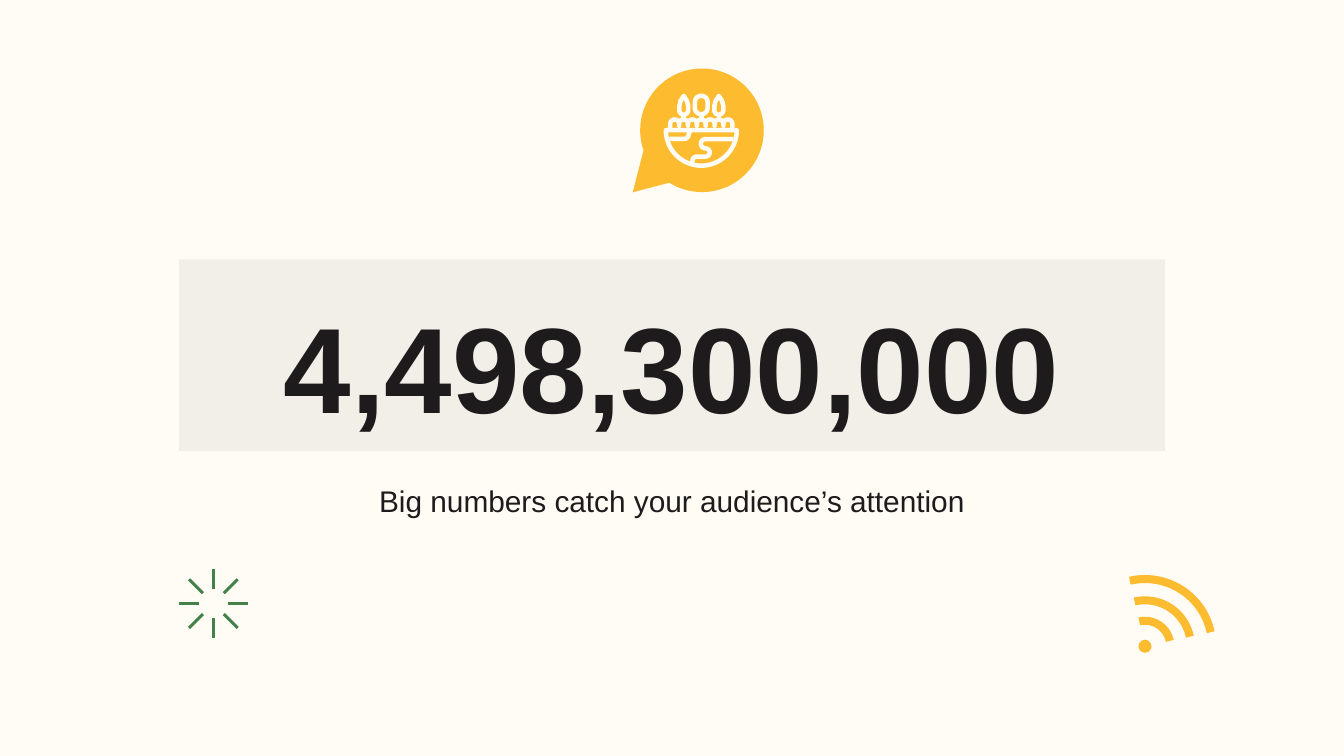
"""Build a big-number slide with a speech bubble, a burst and a signal icon."""
from math import cos, radians, sin

from lxml.etree import SubElement
from pptx import Presentation
from pptx.dml.color import RGBColor
from pptx.enum.shapes import MSO_CONNECTOR, MSO_SHAPE
from pptx.enum.text import MSO_ANCHOR, MSO_AUTO_SIZE, PP_ALIGN
from pptx.oxml.ns import qn
from pptx.util import Pt

COLORS = {
    "cream": "FFFCF6",
    "panel": "F2EFE8",
    "ink": "1D1B1C",
    "green": "44804A",
    "yellow": "FDBC2F",
}
FONT = "Arial"
PANEL_LEFT, PANEL_WIDTH = 95.8, 528.4


def color(name):
    return RGBColor.from_string(COLORS[name])


def paint(fill, name):
    fill.solid()
    fill.fore_color.rgb = color(name)


def place(box, left, top, width, height):
    box.left, box.top = Pt(left), Pt(top)
    box.width, box.height = Pt(width), Pt(height)


def write_text(box, text, size, bold=False, anchor=MSO_ANCHOR.TOP):
    frame = box.text_frame
    frame.word_wrap = True
    frame.auto_size = MSO_AUTO_SIZE.NONE
    frame.vertical_anchor = anchor
    frame.margin_left = frame.margin_right = Pt(7.2)
    frame.margin_top = frame.margin_bottom = Pt(7.2)
    para = frame.paragraphs[0]
    para.alignment = PP_ALIGN.CENTER
    span = para.add_run()
    span.text = text
    span.font.name = FONT
    span.font.size = Pt(size)
    span.font.bold = bold
    span.font.color.rgb = color("ink")


def arc(center_x, center_y, radius, start, end, steps=24):
    """Return points on an arc; angles run clockwise from the right."""
    angles = [radians(start + (end - start) * i / steps) for i in range(steps + 1)]
    return [(center_x + radius * cos(a), center_y + radius * sin(a)) for a in angles]


def add_outline(page, points, fill=None, line=None, width=0, closed=True):
    corners = [(Pt(x), Pt(y)) for x, y in points]
    builder = page.shapes.build_freeform(*corners[0], scale=1.0)
    builder.add_line_segments(corners[1:], close=closed)
    shape = builder.convert_to_shape()
    shape.shadow.inherit = False
    if fill:
        paint(shape.fill, fill)
    else:
        shape.fill.background()
    if line:
        paint(shape.line.fill, line)
        shape.line.width = Pt(width)
    else:
        shape.line.fill.background()


def add_line(page, start, end, name, width):
    ends = [Pt(value) for value in (*start, *end)]
    line = page.shapes.add_connector(MSO_CONNECTOR.STRAIGHT, *ends)
    paint(line.line.fill, name)
    line.line.width = Pt(width)
    SubElement(line._element.spPr, qn("a:effectLst"))


def add_burst(page, center_x, center_y):
    for angle in range(0, 360, 45):
        inner, outer = (
            (center_x + r * cos(radians(angle)), center_y + r * sin(radians(angle)))
            for r in (7.9, 18.4)
        )
        add_line(page, inner, outer, "green", 1.58)


def add_signal(page, center_x, center_y):
    for radius in (36, 24.6, 13.6):
        points = arc(center_x, center_y, radius, -103, -12)
        add_outline(page, points, line="yellow", width=4.3, closed=False)
    dot = page.shapes.add_shape(
        MSO_SHAPE.OVAL, Pt(center_x - 3.5), Pt(center_y - 3.5), Pt(7), Pt(7)
    )
    dot.shadow.inherit = False
    paint(dot.fill, "yellow")
    dot.line.fill.background()


def add_bubble(page, center_x, center_y):
    points = arc(center_x, center_y, 33.1, 161, 482, steps=96)
    add_outline(page, points + [(center_x - 37.1, center_y + 33.2)], fill="yellow")


def add_landscape(page, center_x, center_y):
    """Draw trees and bushes above a round bowl with a river."""
    def stroke(points, closed=False):
        moved = [(center_x + x, center_y + y) for x, y in points]
        add_outline(page, moved, line="cream", width=2.4, closed=closed)

    stroke(arc(0, 0, 19, 0, 180, steps=48), closed=True)
    bushes = [(-16.6, 0)]
    for position in range(-3, 4):
        x = position * 4.75
        bushes += [(x - 2.4, -2.4), *arc(x, -3.4, 2.4, 180, 360, 12), (x + 2.4, -2.4)]
    stroke(bushes + [(16.6, 0)])

    for x in (-9.4, 9.4):
        left_side = [(x, -18.4), (x - 1.7, -15.8), (x - 2.4, -13)]
        right_side = [(x + 2.4, -13), (x + 1.7, -15.8)]
        stroke(left_side + arc(x, -10.8, 2.4, 180, 0) + right_side, closed=True)
    stroke(arc(0, -15.1, 3.4, 180, 360) + arc(0, -12, 3.4, 0, 180), closed=True)
    for x in (-9.4, 0, 9.4):
        add_line(page, (center_x + x, center_y - 8.4),
                 (center_x + x, center_y - 4.8), "cream", 2.4)

    stroke([(-17.3, 4.7), *arc(-9.4, 2.1, 2.6, 90, 0), (-6, 0)])
    stroke([
        (17.3, 4.7),
        *arc(2.3, 7.2, 2.5, 270, 90),
        *arc(2.3, 11.9, 2.2, -90, 90),
        *arc(-2.3, 16.6, 2.5, 270, 180),
        (-4.8, 17.6),
    ])


def main():
    deck = Presentation()
    deck.slide_width, deck.slide_height = Pt(720), Pt(405)
    page = deck.slides.add_slide(deck.slide_layouts[5])
    paint(page.background.fill, "cream")

    title = page.shapes.title
    place(title, PANEL_LEFT, 139, PANEL_WIDTH, 102.6)
    paint(title.fill, "panel")
    write_text(title, "4,498,300,000", size=65, bold=True, anchor=MSO_ANCHOR.BOTTOM)

    caption = page.shapes.add_textbox(
        Pt(PANEL_LEFT), Pt(251.3), Pt(PANEL_WIDTH), Pt(38.9)
    )
    write_text(caption, "Big numbers catch your audience’s attention", size=16)

    add_burst(page, 114.3, 323.4)
    add_bubble(page, 376.1, 69.8)
    add_landscape(page, 375.7, 69.8)
    add_signal(page, 613.4, 346.2)
    deck.save("out.pptx")


if __name__ == "__main__":
    main()
